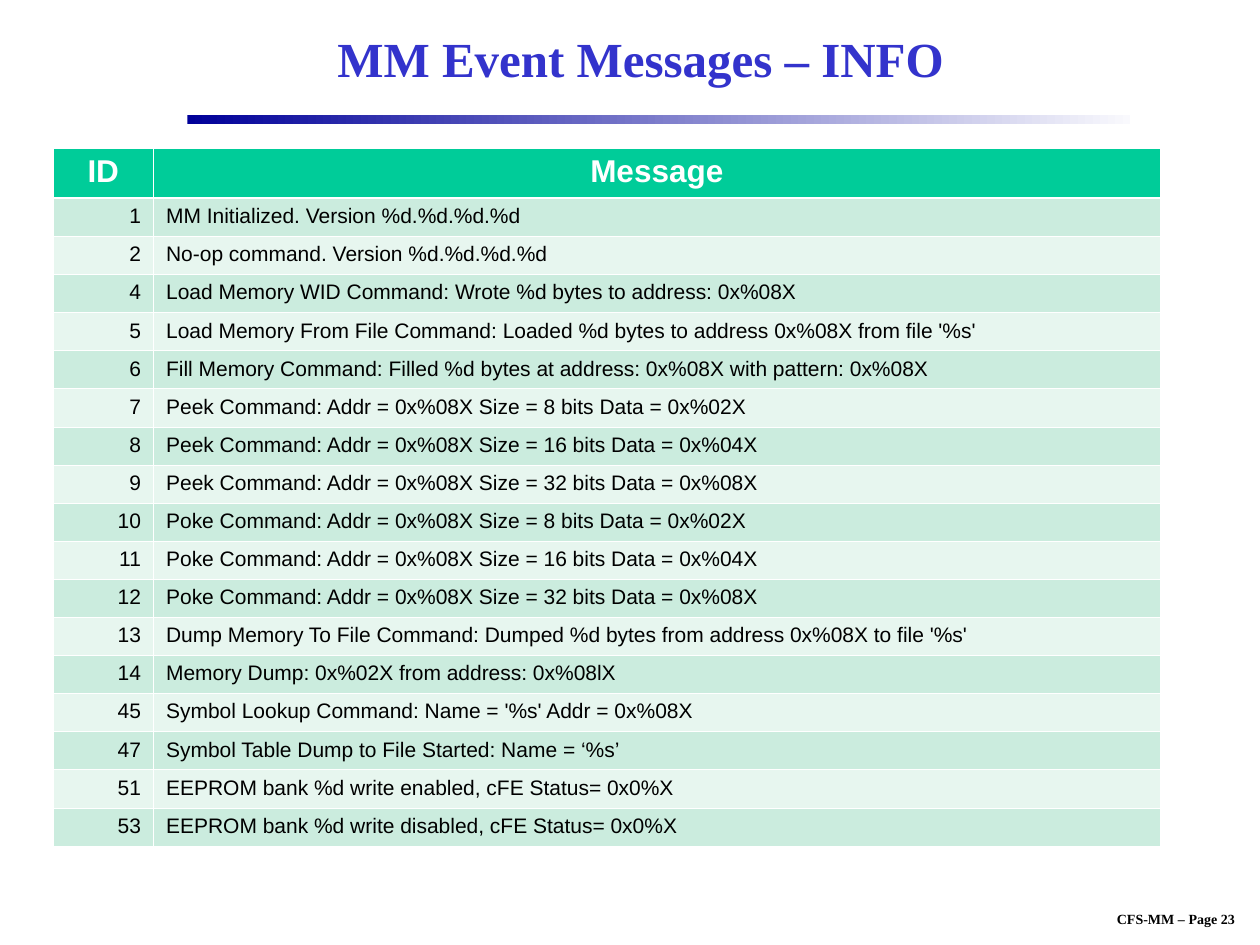
from dataclasses import dataclass

from lxml import etree
from pptx import Presentation
from pptx import util as u
from pptx.dml import color
from pptx.enum import shapes, text
from pptx.oxml import ns

MESSAGES = [
    (1, "MM Initialized. Version %d.%d.%d.%d"),
    (2, "No-op command. Version %d.%d.%d.%d"),
    (4, "Load Memory WID Command: Wrote %d bytes to address: 0x%08X"),
    (5, "Load Memory From File Command: Loaded %d bytes to address 0x%08X from file '%s'"),
    (6, "Fill Memory Command: Filled %d bytes at address: 0x%08X with pattern: 0x%08X"),
    (7, "Peek Command: Addr = 0x%08X Size = 8 bits Data = 0x%02X"),
    (8, "Peek Command: Addr = 0x%08X Size = 16 bits Data = 0x%04X"),
    (9, "Peek Command: Addr = 0x%08X Size = 32 bits Data = 0x%08X"),
    (10, "Poke Command: Addr = 0x%08X Size = 8 bits Data = 0x%02X"),
    (11, "Poke Command: Addr = 0x%08X Size = 16 bits Data = 0x%04X"),
    (12, "Poke Command: Addr = 0x%08X Size = 32 bits Data = 0x%08X"),
    (13, "Dump Memory To File Command: Dumped %d bytes from address 0x%08X to file '%s'"),
    (14, "Memory Dump: 0x%02X from address: 0x%08lX"),
    (45, "Symbol Lookup Command: Name = '%s' Addr = 0x%08X"),
    (47, "Symbol Table Dump to File Started: Name = ‘%s’"),
    (51, "EEPROM bank %d write enabled, cFE Status= 0x0%X"),
    (53, "EEPROM bank %d write disabled, cFE Status= 0x0%X"),
]


def rgb(value):
    return color.RGBColor.from_string(value)


@dataclass
class SlideBuilder:
    """Draws styled elements on the current slide."""

    page: object
    serif: str = "Times New Roman"
    sans: str = "Arial"
    accent: str = "00CC99"
    bands: tuple = ("CBECDE", "E7F6EF")

    def label(self, frame, words, font, size, tint, bold, align):
        frame.text = words
        para = frame.paragraphs[0]
        para.alignment = align
        for span in para.runs:
            span.font.name = font
            span.font.size = u.Pt(size)
            span.font.bold = bold
            span.font.color.rgb = rgb(tint)

    def title(self, words, left, top, width, height):
        box = self.page.shapes.title
        box.left, box.top, box.width, box.height = map(u.Pt, (left, top, width, height))
        box.text_frame.vertical_anchor = text.MSO_ANCHOR.MIDDLE
        self.label(box.text_frame, words, self.serif, 28, "3333CC", True, text.PP_ALIGN.CENTER)

    def rule(self, left, top, width, height):
        bar = self.page.shapes.add_shape(
            shapes.MSO_SHAPE.RECTANGLE, *map(u.Pt, (left, top, width, height)))
        bar.shadow.inherit = False
        bar.line.fill.background()
        bar.fill.gradient()
        bar.fill.gradient_angle = 0
        for stop, tint in zip(bar.fill.gradient_stops, ("000099", "F9F9FD")):
            stop.color.rgb = rgb(tint)

    def footer(self, words, left, top, width, height):
        box = self.page.shapes.add_textbox(*map(u.Pt, (left, top, width, height)))
        box.text_frame.word_wrap = False
        self.label(box.text_frame, words, self.serif, 8, "000000", True, text.PP_ALIGN.CENTER)

    def borders(self, cell, top, bottom):
        properties = cell._tc.get_or_add_tcPr()
        for side, weight in (("L", 0.45), ("R", 0.45), ("T", top), ("B", bottom)):
            line = etree.SubElement(properties, ns.qn(f"a:ln{side}"), w=str(u.Pt(weight)))
            fill = etree.SubElement(line, ns.qn("a:solidFill"))
            etree.SubElement(fill, ns.qn("a:srgbClr"), val="FFFFFF")

    def table(self, rows, left, top, widths, header_height, row_height):
        height = header_height + row_height * (len(rows) - 1)
        grid = self.page.shapes.add_table(
            len(rows), len(widths), *map(u.Pt, (left, top, sum(widths), height))).table
        for column, width in zip(grid.columns, widths):
            column.width = u.Pt(width)
        for index, values in enumerate(rows):
            header = index == 0
            grid.rows[index].height = u.Pt(header_height if header else row_height)
            aligns = ([text.PP_ALIGN.CENTER] * 2 if header
                      else [text.PP_ALIGN.RIGHT, text.PP_ALIGN.LEFT])
            for cell, value, align in zip(grid.rows[index].cells, values, aligns):
                self.borders(cell, 1.47 if index == 1 else 0.45, 1.47 if header else 0.45)
                cell.fill.solid()
                cell.fill.fore_color.rgb = rgb(
                    self.accent if header else self.bands[(index - 1) % 2])
                self.label(cell.text_frame, str(value), self.sans, 18 if header else 12,
                           "FFFFFF" if header else "000000", header, align)


def main():
    deck = Presentation()
    deck.slide_width, deck.slide_height = u.Pt(720), u.Pt(540)
    builder = SlideBuilder(deck.slides.add_slide(deck.slide_layouts[5]))
    builder.footer("CFS-MM – Page 23", 617, 517, 110, 16.5)
    builder.rule(107, 66, 539, 5)
    builder.title("MM Event Messages – INFO", 108, 6, 516, 54)
    builder.table([("ID", "Message"), *MESSAGES], 30.25, 84.5, (57.5, 575.25), 28.5, 21.78)
    deck.save("out.pptx")


if __name__ == "__main__":
    main()
